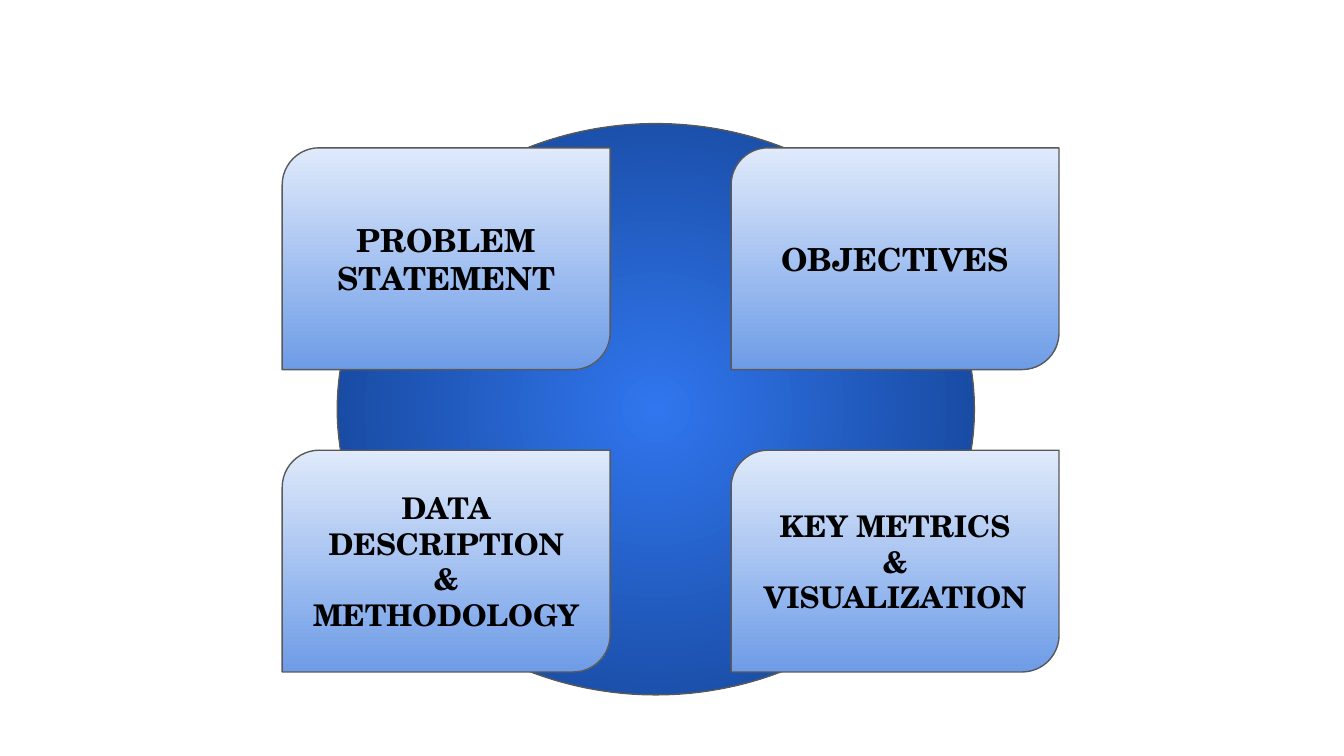
from copy import deepcopy

from lxml import etree
from pptx import Presentation
from pptx.dml.color import RGBColor
from pptx.enum.shapes import MSO_SHAPE
from pptx.enum.text import MSO_ANCHOR, PP_ALIGN
from pptx.oxml.ns import qn
from pptx.util import Inches, Pt

FONT = "TeX Gyre Schola"
CARD_WIDTH, CARD_HEIGHT = 2.44, 1.65
COLUMN_STEP, ROW_STEP = 3.34, 2.25
# Paragraphs are split by \n, lines within a paragraph by \v
TOPICS = [
    [("PROBLEM\nSTATEMENT", 17), ("OBJECTIVES", 17)],
    [("DATA DESCRIPTION\v&\vMETHODOLOGY", 16), ("KEY METRICS\v&\vVISUALIZATION", 16)],
]


def color(value):
    return RGBColor.from_string(value)


def add_gradient_shape(slide, kind, left, top, width, height, start, end):
    shape = slide.shapes.add_shape(
        kind, Inches(left), Inches(top), Inches(width), Inches(height))
    shape.shadow.inherit = False
    shape.line.color.rgb = color("595959")
    shape.line.width = Pt(0.75)
    shape.fill.gradient()
    shape.fill.gradient_angle = 270  # top to bottom
    for stop, value in zip(shape.fill.gradient_stops, (start, end)):
        stop.color.rgb = color(value)
    return shape


def make_radial(shape):
    """Turn the linear gradient into a circular one around the centre."""
    linear = shape._element.spPr.find(".//" + qn("a:lin"))
    circle = etree.Element(qn("a:path"), {"path": "circle"})
    center = {side: "50000" for side in "ltrb"}
    etree.SubElement(circle, qn("a:fillToRect"), center)
    linear.getparent().replace(linear, circle)


def set_text(shape, text, size, font=FONT, fill="000000", bold=True,
             align=PP_ALIGN.CENTER, inset=0.1):
    frame = shape.text_frame
    frame.word_wrap = True
    frame.vertical_anchor = MSO_ANCHOR.MIDDLE
    frame.margin_left = frame.margin_right = Inches(inset)
    frame.margin_top = frame.margin_bottom = Inches(inset)
    frame.text = text
    for paragraph in frame.paragraphs:
        paragraph.alignment = align
        for run in paragraph.runs:
            run.font.name = font
            run.font.size = Pt(size)
            run.font.bold = bold
            run.font.color.rgb = color(fill)
        # Line breaks take the format of the text around them
        for line_break in paragraph._p.findall(qn("a:br")):
            line_break.append(deepcopy(paragraph.runs[0]._r.rPr))


def add_disc(slide, left, top, width, height):
    disc = add_gradient_shape(slide, MSO_SHAPE.OVAL, left, top, width, height,
                              "3176EE", "113D8A")
    make_radial(disc)


def add_topic_cards(slide, left, top):
    for row, topics in enumerate(TOPICS):
        for column, (text, size) in enumerate(topics):
            card = add_gradient_shape(
                slide, MSO_SHAPE.ROUND_2_DIAG_RECTANGLE,
                left + column * COLUMN_STEP, top + row * ROW_STEP,
                CARD_WIDTH, CARD_HEIGHT, "DFEAFB", "6E9CE7")
            set_text(card, text, size)


def main():
    presentation = Presentation()
    presentation.slide_width = Inches(10)
    presentation.slide_height = Inches(10 * 9 / 16)  # 16:9 format
    slide = presentation.slides.add_slide(presentation.slide_layouts[6])
    # Background disc, then the four topics over it
    add_disc(slide, 2.51, 0.92, 4.74, 4.25)
    add_topic_cards(slide, 2.1, 1.1)
    presentation.save("out.pptx")


if __name__ == "__main__":
    main()
